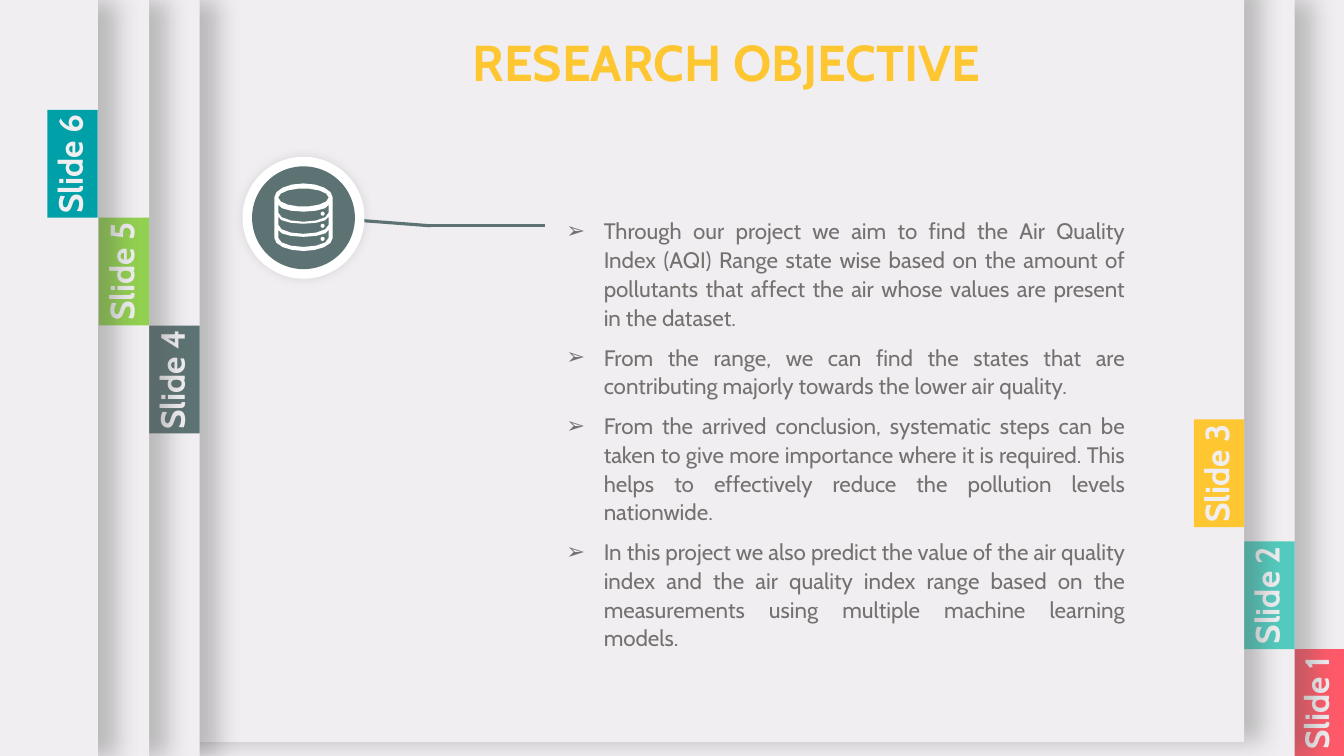
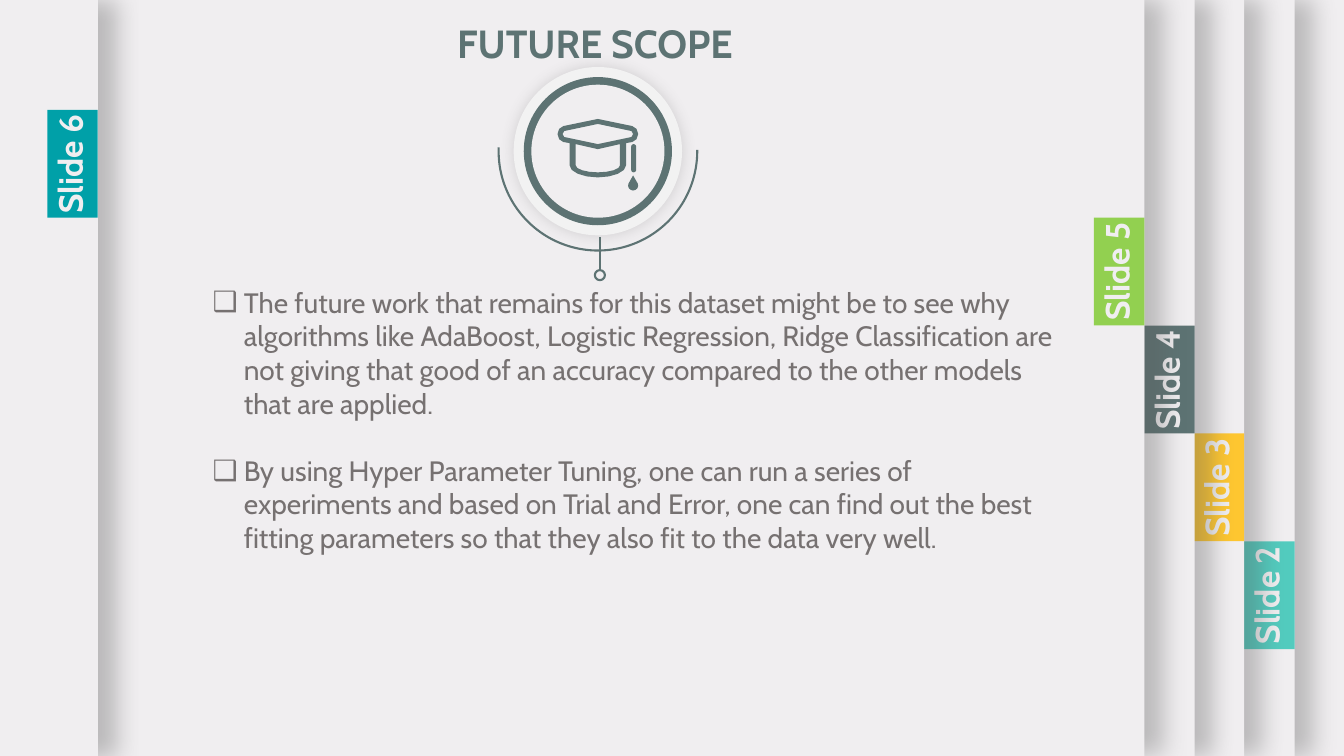
from math import cos, radians, sin
from pptx import Presentation
from pptx.dml.color import RGBColor
from pptx.enum.shapes import MSO_CONNECTOR, MSO_SHAPE
from pptx.enum.text import PP_ALIGN
from pptx.oxml.ns import qn
from pptx.util import Inches, Pt
from lxml import etree

RECT, OVAL, ARC = MSO_SHAPE.RECTANGLE, MSO_SHAPE.OVAL, MSO_SHAPE.ARC
PILL = MSO_SHAPE.ROUNDED_RECTANGLE
STRAIGHT = MSO_CONNECTOR.STRAIGHT
LEFT, CENTER, JUSTIFY = PP_ALIGN.LEFT, PP_ALIGN.CENTER, PP_ALIGN.JUSTIFY

FONT = "Cabin"
W, H = 13.33, 7.5
TAB_W, TAB_H, TAB_TOP = 0.5, 1.07, 1.09
COLORS = {
    "paper": "F0EEF0", "white": "FFFFFF", "rim": "F2F2F2", "black": "000000",
    "shade": "595959", "body": "767171", "red": "FF5969", "mint": "52CBBE",
    "yellow": "FEC630", "slate": "5D7373", "green": "92D050", "teal": "00A0A8",
}
TABS = ["red", "mint", "yellow", "slate", "green", "teal"]


def rgb(name):
    return RGBColor.from_string(COLORS[name])


def box(x, y, w, h):
    return [Inches(v) for v in (x, y, w, h)]


def paint(sp, fill=None, line=None, width=1.5):
    sp.shadow.inherit = False
    if fill:
        sp.fill.solid()
        sp.fill.fore_color.rgb = rgb(fill)
    else:
        sp.fill.background()
    if line:
        sp.line.color.rgb = rgb(line)
        sp.line.width = Pt(width)
    else:
        sp.line.fill.background()
    return sp


def add_shadow(sp, color, alpha, blur, dist=0, stretch=100):
    effects = sp._element.spPr.find(qn("a:effectLst"))
    outer = etree.SubElement(effects, qn("a:outerShdw"), blurRad=str(Pt(blur)),
                             dist=str(Pt(dist)), dir="0", sx=str(stretch * 1000),
                             algn="l", rotWithShape="0")
    clr = etree.SubElement(outer, qn("a:srgbClr"), val=COLORS[color])
    etree.SubElement(clr, qn("a:alpha"), val=str(alpha * 1000))


def add_shape(shapes, kind, x, y, w, h, fill=None, line=None):
    return paint(shapes.add_shape(kind, *box(x, y, w, h)), fill, line)


def add_line(s, x1, y1, x2, y2, width):
    c = s.shapes.add_connector(STRAIGHT, *box(x1, y1, x2, y2))
    c.line.color.rgb = rgb("slate")
    c.line.width = Pt(width)
    etree.SubElement(c._element.spPr, qn("a:effectLst"))


def add_text(shapes, x, y, w, h, paragraphs, size, color, bold=False, align=CENTER):
    tb = shapes.add_textbox(*box(x, y, w, h))
    tf = tb.text_frame
    tf.word_wrap = True
    for i, text in enumerate(paragraphs):
        p = tf.paragraphs[0] if i == 0 else tf.add_paragraph()
        p.alignment = align
        r = p.add_run()
        r.text = text
        r.font.name = FONT
        r.font.size = Pt(size)
        r.font.bold = bold
        r.font.color.rgb = rgb(color)
    return tb


def add_bullets(s, x, y, w, h, items, size, char, indent, gap, spacing=1.0, align=LEFT):
    tb = add_text(s.shapes, x, y, w, h, items, size, "body", align=align)
    for p in tb.text_frame.paragraphs:
        p.line_spacing = spacing
        p.space_after = Pt(gap)
        pPr = p._p.get_or_add_pPr()
        pPr.set("marL", str(Inches(indent)))
        pPr.set("indent", str(-Inches(indent)))
        etree.SubElement(pPr, qn("a:buFont"), typeface=FONT)
        etree.SubElement(pPr, qn("a:buChar"), char=char)


def add_sheet(s, number, right, dy=0):
    shapes = s.shapes.add_group_shape().shapes
    color = TABS[number - 1]
    sheet = add_shape(shapes, RECT, right - W - 0.32, dy, W + 0.32, H, "paper")
    add_shadow(sheet, "shade", 35, 17, 3, 101)
    left = right - TAB_W
    top = TAB_TOP + TAB_H * (len(TABS) - number) + dy
    add_shape(shapes, RECT, left, top, TAB_W, TAB_H, color)
    w, h = 1.19, 0.5
    label = add_text(shapes, left + (TAB_W - w) / 2 - 0.03, top + (TAB_H - h) / 2,
                     w, h, [f"Slide {number}"], 24, "paper", bold=True)
    label.rotation = 270


def add_badge(s, cx, cy, rings, shadow):
    for i, (d, color) in enumerate(rings):
        disc = add_shape(s.shapes, OVAL, cx - d / 2, cy - d / 2, d, d, color)
        if i == 0:
            add_shadow(disc, *shadow)


def curve(x, y, rx, ry, start, end, steps=8):
    angles = [radians(start + (end - start) * i / steps) for i in range(steps + 1)]
    return [(x + rx * cos(a), y + ry * sin(a)) for a in angles]


def add_outline(s, cx, cy, contours, color):
    fb = None
    for contour in contours:
        points = [(Inches(cx + x), Inches(cy + y)) for x, y in contour]
        if fb is None:
            fb = s.shapes.build_freeform(*points[0], scale=1.0)
        else:
            fb.move_to(*points[0])
        fb.add_line_segments(points[1:], close=True)
    paint(fb.convert_to_shape(), color)


def draw_database(s, cx, cy):
    levels = [-0.05, 0.07, 0.2]
    body = curve(0, -0.2, 0.29, 0.14, 180, 360) + curve(0, 0.2, 0.29, 0.13, 0, 180)
    lid = curve(0, -0.2, 0.25, 0.09, 0, 360, 14)
    bands = [curve(0, y, 0.25, 0.09, 0, 180, 6) + curve(0, y - 0.08, 0.25, 0.07, 180, 0, 6)
             for y in levels]
    add_outline(s, cx, cy, [body, lid] + bands, "white")
    for y in levels:
        add_shape(s.shapes, OVAL, cx + 0.17, cy + y - 0.01, 0.04, 0.04, "white")


def draw_cap(s, cx, cy):
    hat = ([(0, -0.32)] + curve(0.33, -0.17, 0.07, 0.08, -80, 80, 4)
           + [(0.28, -0.08)] + curve(0, 0.14, 0.28, 0.12, 0, 180)
           + [(-0.28, -0.08)] + curve(-0.33, -0.17, 0.07, 0.08, 100, 260, 4))
    board = ([(0, -0.27)] + curve(0.33, -0.17, 0.02, 0.03, -80, 80, 2)
             + [(0, -0.07)] + curve(-0.33, -0.17, 0.02, 0.03, 100, 260, 2))
    crown = [(-0.22, -0.07), (0, -0.02), (0.22, -0.07)] + curve(0, 0.14, 0.22, 0.07, 0, 180)
    drop = [(0.35, 0.24)] + curve(0.35, 0.34, 0.05, 0.05, -20, 200)
    add_outline(s, cx, cy, [hat, board, crown], "slate")
    cord = add_shape(s.shapes, PILL, cx + 0.33, cy - 0.07, 0.05, 0.28, "slate")
    cord.adjustments[0] = 0.5
    add_outline(s, cx, cy, [drop], "slate")


def new_slide(prs):
    s = prs.slides.add_slide(prs.slide_layouts[6])
    s.background.fill.solid()
    s.background.fill.fore_color.rgb = rgb("paper")
    return s


def objective_slide(prs):
    s = new_slide(prs)
    for number, right, dy in [(1, 13.33, 0), (2, 12.84, 0), (3, 12.34, -0.14)]:
        add_sheet(s, number, right, dy)
    add_text(s.shapes, 4.56, 0.26, 5.29, 0.71, ["RESEARCH OBJECTIVE"], 36, "yellow", bold=True)
    add_line(s, 3.61, 2.19, 4.27, 2.24, 2.25)
    add_line(s, 4.25, 2.24, 5.41, 2.24, 2.25)
    cx, cy = 3.01, 2.16
    add_badge(s, cx, cy, [(1.21, "white"), (1.02, "slate")], ("black", 10, 8))
    add_bullets(s, 5.52, 2.09, 5.74, 4.28, [
        "Through our project we aim to find the Air Quality Index (AQI) Range state wise "
        "based on the amount of pollutants that affect the air whose values are present "
        "in the dataset.",
        "From the range, we can find the states that are contributing majorly towards "
        "the lower air quality.",
        "From the arrived conclusion, systematic steps can be taken to give more "
        "importance where it is required. This helps to effectively reduce the pollution "
        "levels nationwide.",
        "In this project we also predict the value of the air quality index and the air "
        "quality index range based on the measurements using multiple machine learning "
        "models.",
    ], 16, "➢", 0.37, 8, 1.07, JUSTIFY)
    draw_database(s, cx, cy)
    for number, right in [(4, 1.98), (5, 1.48), (6, 0.97)]:
        add_sheet(s, number, right)


def future_slide(prs):
    s = new_slide(prs)
    for number, right in [(2, 12.84), (3, 12.34), (4, 11.85), (5, 11.35)]:
        add_sheet(s, number, right)
    add_text(s.shapes, 4.01, 0.14, 3.78, 0.57, ["FUTURE SCOPE"], 28, "slate", bold=True)
    cx, cy = 5.93, 1.5
    add_line(s, 5.95, 2.68, 5.95, 2.35, 1.5)
    add_badge(s, cx, cy, [(1.67, "rim"), (1.47, "slate"), (1.32, "paper")],
              ("shade", 20, 10))
    d = 1.97
    cradle = add_shape(s.shapes, ARC, cx - d / 2, cy - d / 2, d, d, line="slate")
    cradle.adjustments[0] = 134.52
    cradle.adjustments[1] = 28.37
    cradle.rotation = 135
    add_shape(s.shapes, OVAL, 5.9, 2.68, 0.1, 0.1, line="slate")
    add_bullets(s, 2.01, 2.78, 8.59, 2.79, [
        "The future work that remains for this dataset might be to see why algorithms "
        "like AdaBoost, Logistic Regression, Ridge Classification are not giving that "
        "good of an accuracy compared to the other models that are applied.",
        "By using Hyper Parameter Tuning, one can run a series of experiments and based "
        "on Trial and Error, one can find out the best fitting parameters so that they "
        "also fit to the data very well.",
    ], 20, "❑", 0.31, 24)
    draw_cap(s, cx, cy)
    add_sheet(s, 6, 0.97)


prs = Presentation()
prs.slide_width, prs.slide_height = Inches(W), Inches(H)
objective_slide(prs)
future_slide(prs)
prs.save("out.pptx")
